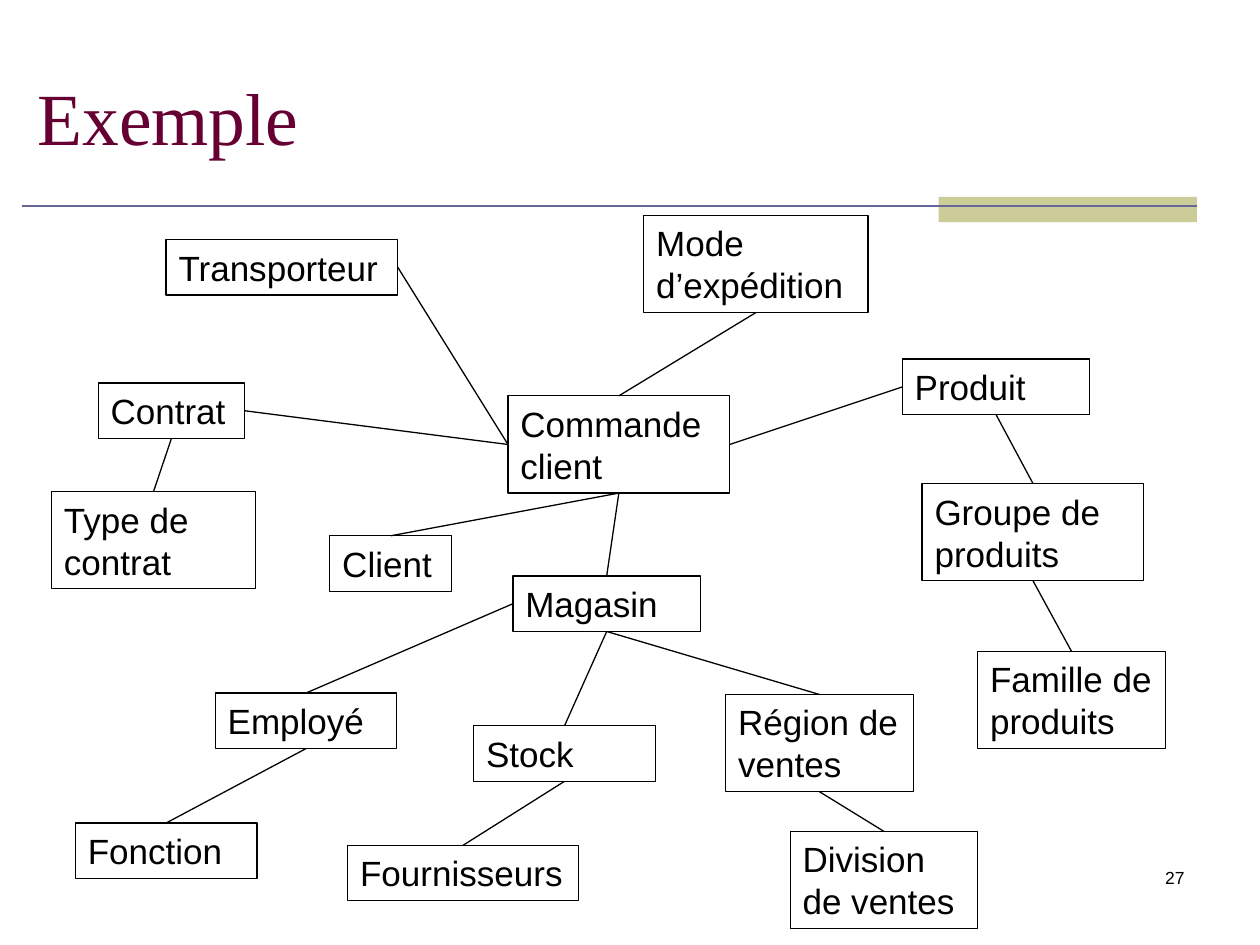
from lxml import etree
from pptx import Presentation
from pptx import util as u
from pptx.dml import color
from pptx.enum import shapes, text
from pptx.oxml import ns

TITLE = "Exemple"
PAGE_NUMBER = "27"
BLACK = "000000"
LINE_HEIGHTS = {1: 1.12, 2: 1.96}
TOP, LEFT, BOTTOM, RIGHT = range(4)

ENTITIES = [
    ("Mode d’expédition", 12.98, 4.34, 4.52, 2),
    ("Transporteur", 3.35, 4.83, 4.67, 1),
    ("Produit", 18.19, 7.24, 3.78, 1),
    ("Groupe de produits", 18.59, 9.75, 4.47, 2),
    ("Famille de produits", 19.71, 13.13, 3.78, 2),
    ("Division de ventes", 15.93, 16.76, 3.78, 2),
    ("Région de ventes", 14.63, 14, 3.78, 2),
    ("Magasin", 10.34, 11.61, 3.78, 1),
    ("Commande client", 10.24, 7.98, 4.47, 2),
    ("Type de contrat", 1.04, 9.91, 4.11, 2),
    ("Contrat", 1.98, 7.72, 2.95, 1),
    ("Client", 6.65, 10.8, 2.46, 1),
    ("Employé", 4.34, 13.97, 3.66, 1),
    ("Fonction", 1.52, 16.59, 3.66, 1),
    ("Stock", 9.55, 14.63, 3.66, 1),
    ("Fournisseurs", 7.01, 17.04, 4.65, 1),
]

LINKS = [
    ("Commande client", LEFT, "Transporteur", RIGHT),
    ("Commande client", LEFT, "Contrat", RIGHT),
    ("Commande client", TOP, "Mode d’expédition", BOTTOM),
    ("Commande client", RIGHT, "Produit", LEFT),
    ("Commande client", BOTTOM, "Client", TOP),
    ("Commande client", BOTTOM, "Magasin", TOP),
    ("Produit", BOTTOM, "Groupe de produits", TOP),
    ("Groupe de produits", BOTTOM, "Famille de produits", TOP),
    ("Type de contrat", TOP, "Contrat", BOTTOM),
    ("Employé", TOP, "Magasin", LEFT),
    ("Magasin", BOTTOM, "Stock", TOP),
    ("Région de ventes", TOP, "Magasin", BOTTOM),
    ("Division de ventes", TOP, "Région de ventes", BOTTOM),
    ("Employé", BOTTOM, "Fonction", TOP),
    ("Stock", BOTTOM, "Fournisseurs", TOP),
]


def rgb(value):
    return color.RGBColor.from_string(value)


def write(shape, content, size=20, font="Arial", ink=BLACK,
          align=text.PP_ALIGN.LEFT, anchor=text.MSO_ANCHOR.TOP):
    frame = shape.text_frame
    frame.word_wrap = True
    frame.auto_size = text.MSO_AUTO_SIZE.NONE
    frame.vertical_anchor = anchor
    frame.margin_left = frame.margin_right = u.Cm(0.25)
    frame.margin_top = frame.margin_bottom = u.Cm(0.13)
    paragraph = frame.paragraphs[0]
    paragraph.alignment = align
    run = paragraph.add_run()
    run.text = content
    run.font.size = u.Pt(size)
    run.font.name = font
    run.font.color.rgb = rgb(ink)


def add_box(slide, left, top, width, height, fill=None, line=None):
    shape = slide.shapes.add_shape(
        shapes.MSO_SHAPE.RECTANGLE, *map(u.Cm, (left, top, width, height)))
    shape.shadow.inherit = False
    if fill:
        shape.fill.solid()
        shape.fill.fore_color.rgb = rgb(fill)
    else:
        shape.fill.background()
    if line:
        shape.line.color.rgb = rgb(line)
        shape.line.width = u.Pt(0.75)
    else:
        shape.line.fill.background()
    return shape


def add_line(slide, start=(0, 0), end=(0, 0), ink=BLACK, width=0.75):
    connector = slide.shapes.add_connector(
        shapes.MSO_CONNECTOR.STRAIGHT, *map(u.Cm, start + end))
    connector.line.color.rgb = rgb(ink)
    connector.line.width = u.Pt(width)
    etree.SubElement(connector._element.spPr, ns.qn("a:effectLst"))
    return connector


def main():
    presentation = Presentation()
    presentation.slide_width = u.Cm(25.4)
    presentation.slide_height = u.Cm(19.05)
    slide = presentation.slides.add_slide(presentation.slide_layouts[5])

    title = slide.shapes.title
    title.left, title.top, title.width, title.height = map(
        u.Cm, (0.51, 0.76, 23.62, 3.18))
    write(title, TITLE, size=42, font="Times New Roman", ink="660033",
          anchor=text.MSO_ANCHOR.MIDDLE)

    add_box(slide, 18.92, 3.97, 5.21, 0.51, fill="CCCC99")
    add_line(slide, (0.45, 4.15), (24.13, 4.15), ink="666699", width=1.5)

    number = slide.shapes.add_textbox(*map(u.Cm, (18.85, 17.35, 5.28, 1.27)))
    write(number, PAGE_NUMBER, size=10, align=text.PP_ALIGN.RIGHT)

    boxes = {}
    for name, left, top, width, lines in ENTITIES:
        boxes[name] = add_box(slide, left, top, width, LINE_HEIGHTS[lines], line=BLACK)
        write(boxes[name], name)

    for source, source_side, target, target_side in LINKS:
        connector = add_line(slide)
        connector.begin_connect(boxes[source], source_side)
        connector.end_connect(boxes[target], target_side)

    presentation.save("out.pptx")


if __name__ == "__main__":
    main()
